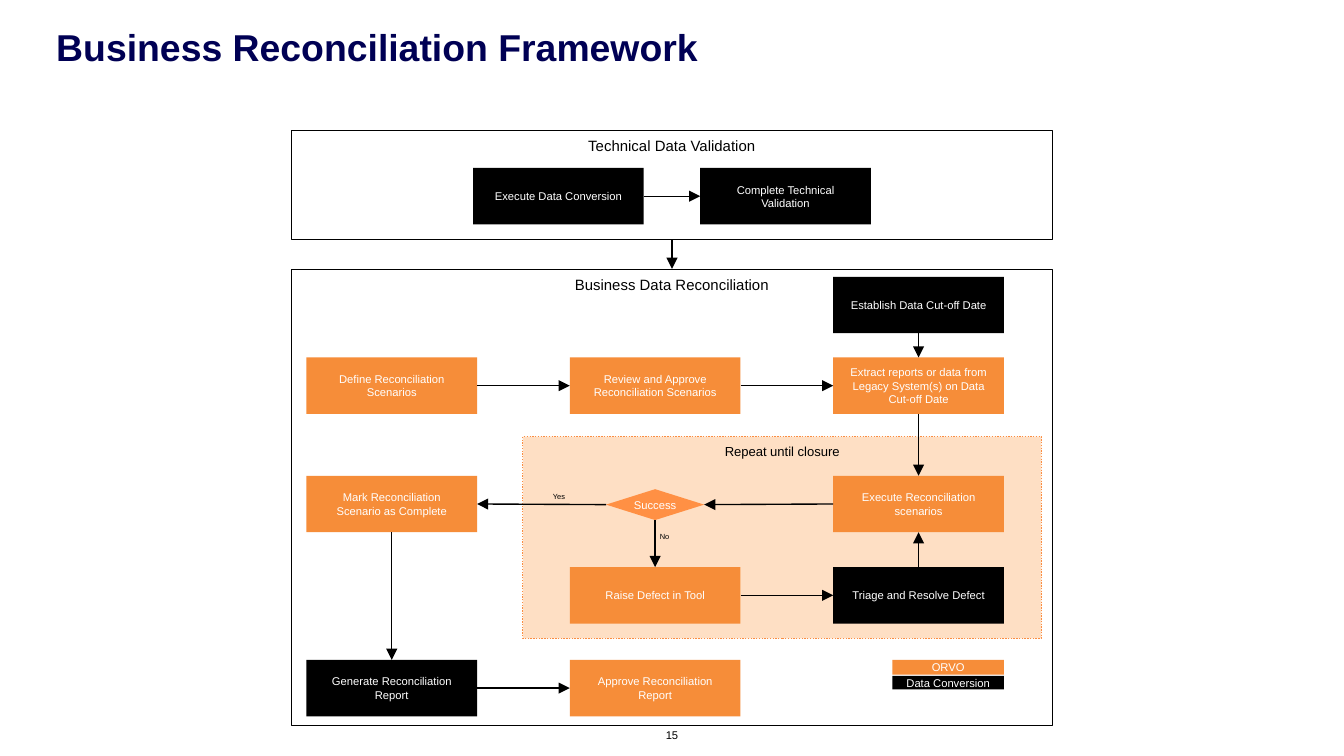
"""Build the business reconciliation framework flowchart slide."""
from lxml import etree
from pptx import Presentation
from pptx import util as u
from pptx.dml.color import RGBColor
from pptx.enum import dml, shapes, text
from pptx.oxml import ns

ORANGE, BLACK, WHITE = "F68D39", "000000", "FFFFFF"
TOP, LEFT, BOTTOM, RIGHT = range(4)
COLUMN_LEFT, COLUMN_STEP = 2.28, 1.96
ROWS = (2.06, 2.66, 3.54, 4.22, 4.91)
STEP_SIZE = (1.27, 0.42)

STEPS = {
    "define": (0, 1, ORANGE, "Define Reconciliation Scenarios"),
    "review": (1, 1, ORANGE, "Review and Approve Reconciliation Scenarios"),
    "cutoff": (2, 0, BLACK, "Establish Data Cut-off Date"),
    "extract": (2, 1, ORANGE, "Extract reports or data from Legacy System(s) on Data Cut-off Date"),
    "execute": (2, 2, ORANGE, "Execute Reconciliation scenarios"),
    "triage": (2, 3, BLACK, "Triage and Resolve Defect"),
    "raise": (1, 3, ORANGE, "Raise Defect in Tool"),
    "mark": (0, 2, ORANGE, "Mark Reconciliation Scenario as Complete"),
    "generate": (0, 4, BLACK, "Generate Reconciliation Report"),
    "approve": (1, 4, ORANGE, "Approve Reconciliation Report"),
}

FLOWS = (
    ("convert", RIGHT, "validate", LEFT),
    ("technical", BOTTOM, "business", TOP),
    ("define", RIGHT, "review", LEFT),
    ("review", RIGHT, "extract", LEFT),
    ("cutoff", BOTTOM, "extract", TOP),
    ("extract", BOTTOM, "execute", TOP),
    ("execute", LEFT, "success", RIGHT),
    ("success", LEFT, "mark", RIGHT),
    ("success", BOTTOM, "raise", TOP),
    ("raise", RIGHT, "triage", LEFT),
    ("triage", TOP, "execute", BOTTOM),
    ("mark", BOTTOM, "generate", TOP),
    ("generate", RIGHT, "approve", LEFT),
)


def color(value):
    """Turn a hex string into a colour."""
    return RGBColor.from_string(value)


def write(holder, words, size, ink=BLACK, bold=False, align=text.PP_ALIGN.CENTER, **frame_format):
    """Fill the text frame of a shape with one formatted paragraph."""
    frame = holder.text_frame
    for key, value in {"word_wrap": True, **frame_format}.items():
        setattr(frame, key, value)
    paragraph = frame.paragraphs[0]
    paragraph.alignment = align
    run = paragraph.add_run()
    run.text = words
    for key, value in {"name": "Arial", "size": u.Pt(size), "bold": bold}.items():
        setattr(run.font, key, value)
    run.font.color.rgb = color(ink)


def add_block(slide, box, fill=None, outline=None, weight=0.25, kind=shapes.MSO_SHAPE.RECTANGLE):
    """Add a shape with an optional fill and outline."""
    block = slide.shapes.add_shape(kind, *map(u.Inches, box))
    block.shadow.inherit = False
    for part, value in ((block.fill, fill), (block.line.fill, outline)):
        if value:
            part.solid()
            part.fore_color.rgb = color(value)
        else:
            part.background()
    if outline:
        block.line.width = u.Pt(weight)
    return block


def add_step(slide, box, fill, words, **frame_format):
    """Add a filled process box with centred white text."""
    step = add_block(slide, box, fill)
    write(step, words, 6, WHITE, vertical_anchor=text.MSO_ANCHOR.MIDDLE, **frame_format)
    return step


def add_panel(slide, box, heading, size=8, **block_format):
    """Add a framed area with its heading at the top."""
    panel = add_block(slide, box, **block_format)
    write(panel, heading, size, vertical_anchor=text.MSO_ANCHOR.TOP)
    return panel


def add_label(slide, box, words, size, **text_format):
    """Add a free text label."""
    label = slide.shapes.add_textbox(*map(u.Inches, box))
    write(label, words, size, **text_format)


def add_flow(slide, source, source_site, target, target_site):
    """Join two shapes with an arrow."""
    flow = slide.shapes.add_connector(shapes.MSO_CONNECTOR.STRAIGHT, 0, 0, 0, 0)
    flow.begin_connect(source, source_site)
    flow.end_connect(target, target_site)
    flow.line.width = u.Pt(0.75)
    flow.line.color.rgb = color(BLACK)
    etree.SubElement(flow.line._get_or_add_ln(), ns.qn("a:tailEnd"), type="triangle")
    etree.SubElement(flow._element.spPr, ns.qn("a:effectLst"))


def main():
    """Build and save the slide."""
    deck = Presentation()
    deck.slide_width = u.Inches(10)
    deck.slide_height = deck.slide_width * 9 // 16
    slide = deck.slides.add_slide(deck.slide_layouts[6])

    add_label(slide, (0.32, 0.13, 8.62, 0.39), "Business Reconciliation Framework", 20,
              ink="000054", bold=True, align=text.PP_ALIGN.LEFT)
    add_label(slide, (4.85, 5.37, 0.3, 0.2), "15", 6, word_wrap=False)

    nodes = {
        "technical": add_panel(slide, (2.17, 0.97, 5.66, 0.81), "Technical Data Validation",
                               outline=BLACK),
        "business": add_panel(slide, (2.17, 2, 5.66, 3.4), "Business Data Reconciliation",
                              outline=BLACK),
    }
    repeat = add_panel(slide, (3.89, 3.25, 3.86, 1.5), "Repeat until closure", 7,
                       fill="FEDFC4", outline="FB8D41", weight=0.75)
    repeat.line.dash_style = dml.MSO_LINE.ROUND_DOT

    nodes["convert"] = add_step(slide, (3.52, 1.25, *STEP_SIZE), BLACK, "Execute Data Conversion")
    nodes["validate"] = add_step(slide, (5.21, 1.25, *STEP_SIZE), BLACK,
                                 "Complete Technical Validation")
    for key, (column, row, fill, words) in STEPS.items():
        box = (COLUMN_LEFT + column * COLUMN_STEP, ROWS[row], *STEP_SIZE)
        nodes[key] = add_step(slide, box, fill, words)

    success = add_block(slide, (4.51, 3.64, 0.73, 0.23), "FF9044", kind=shapes.MSO_SHAPE.DIAMOND)
    write(success, "Success", 6, WHITE, word_wrap=False, margin_top=0, margin_bottom=0,
          margin_left=0, margin_right=0, vertical_anchor=text.MSO_ANCHOR.MIDDLE)
    nodes["success"] = success

    for source, source_site, target, target_site in FLOWS:
        add_flow(slide, nodes[source], source_site, nodes[target], target_site)

    add_label(slide, (4.01, 3.61, 0.3, 0.17), "Yes", 4, word_wrap=False)
    add_label(slide, (4.81, 3.91, 0.27, 0.17), "No", 4, word_wrap=False)
    for top, height, fill, team in ((4.91, 0.11, ORANGE, "ORVO"),
                                    (5.03, 0.1, BLACK, "Data Conversion")):
        add_step(slide, (6.64, top, 0.83, height), fill, team, margin_top=0, margin_bottom=0)

    deck.save("out.pptx")


main()
